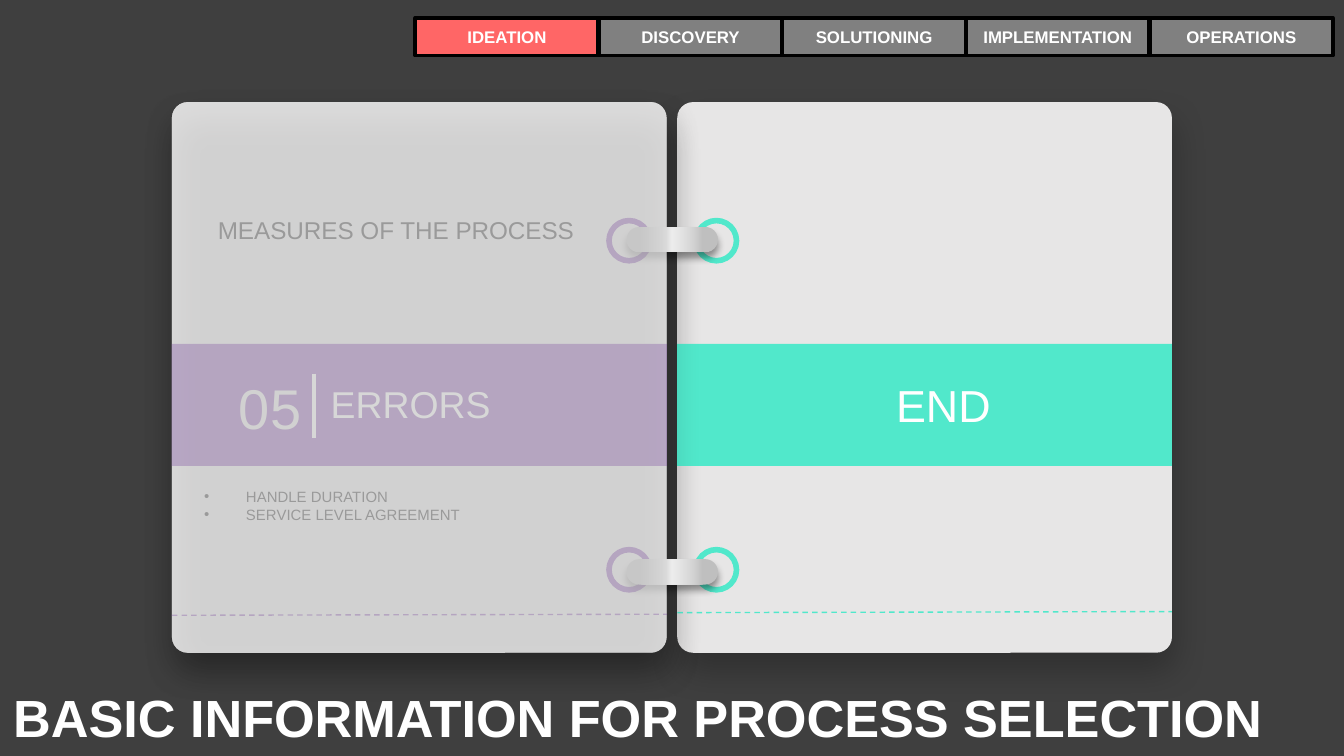
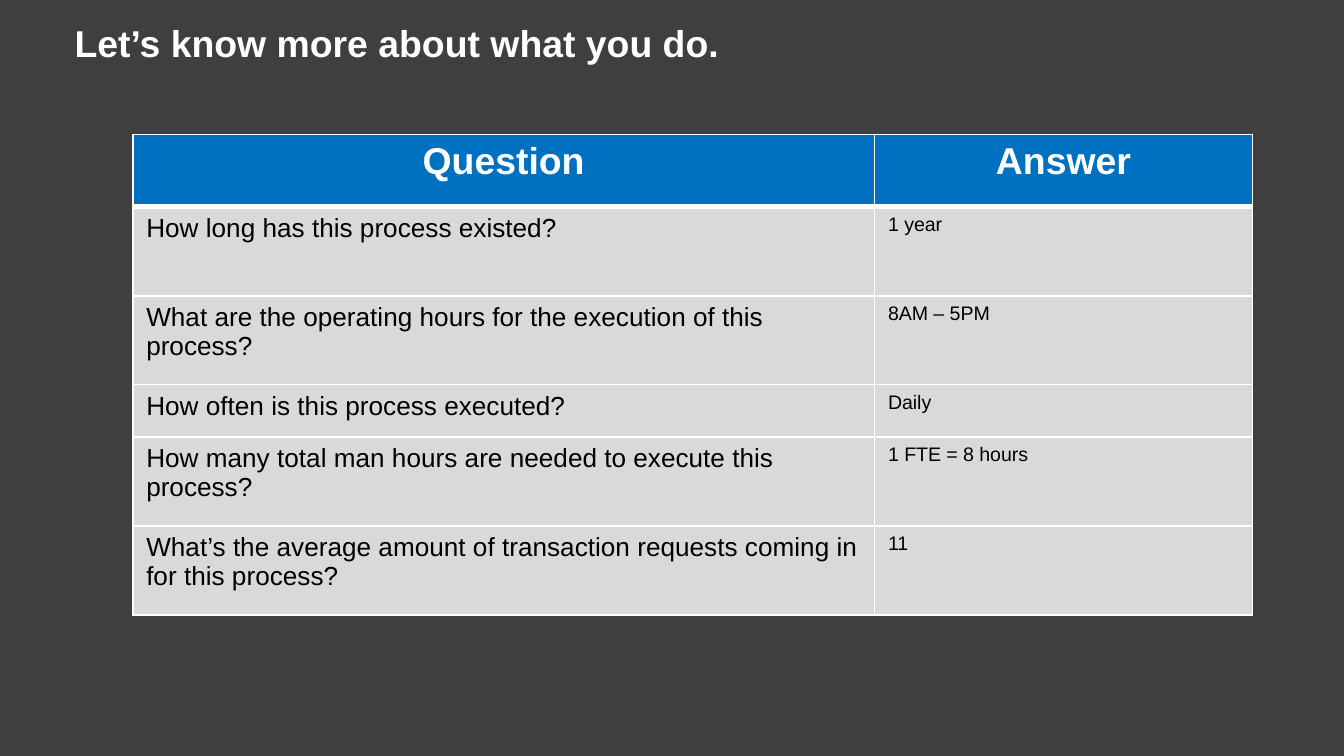
from pptx import Presentation
from pptx.dml.color import RGBColor
from pptx.enum.dml import MSO_LINE_DASH_STYLE as Dash
from pptx.enum.shapes import MSO_CONNECTOR as Link, MSO_SHAPE as Shape
from pptx.enum.text import MSO_ANCHOR as Anchor, PP_ALIGN as Align
from pptx.oxml.ns import qn
from pptx.util import Cm, Pt
from lxml.etree import SubElement

COLORS = {
    "back": "3F3F3F", "page": "E7E6E6", "cover": "D9D9D9", "metal": "BFBFBF",
    "purple": "7030A0", "teal": "51E8CB", "tab": "808080", "active": "FF6666",
    "header": "0070C0", "white": "FFFFFF", "black": "000000",
}
FONT = "Arial"
SMALL_INSETS = (0.18, 0.1, 0.18, 0.1)
TITLE_INSETS = (0.25, 0.25, 0.25, 0.25)
LEFT_PAGE, RIGHT_PAGE = 3.25, 12.8
PAGE_TOP, PAGE_W, PAGE_H = 1.93, 9.35, 10.41
BAND_TOP, BAND_H = 6.5, 2.31
RING_TOPS, RING_D = (4.17, 10.39), 0.76
CLIP_TOPS = (4.29, 10.57)
PAGE_SHADOW = (24, 19, 10, 80)
CLIP_SHADOW = (40, 4, 3, 90)
TABS = ["IDEATION", "DISCOVERY", "SOLUTIONING", "IMPLEMENTATION", "OPERATIONS"]
TAB_LEFT, TAB_STEP = 7.85, 3.47
QUESTIONS = [
    ("Question", "Answer"),
    ("How long has this process existed?", "1 year"),
    ("What are the operating hours for the execution of this process?", "8AM – 5PM"),
    ("How often is this process executed?", "Daily"),
    ("How many total man hours are needed to execute this process?", "1 FTE = 8 hours"),
    ("What’s the average amount of transaction requests coming in for this process?", "11"),
]
ROW_HEIGHTS = (1.37, 1.68, 1.68, 0.99, 1.68, 1.68)
COL_WIDTHS = (14.02, 7.14)


def rgb(name):
    return RGBColor.from_string(COLORS[name])


def element(parent, tag, **attrs):
    return SubElement(parent, qn(tag), {k: str(v) for k, v in attrs.items()})


def add_color(parent, name, alpha=None):
    clr = element(parent, "a:srgbClr", val=COLORS[name])
    if alpha is not None:
        element(clr, "a:alpha", val=alpha * 1000)


def add_shadow(sp, alpha, blur, dist, angle):
    effects = sp._element.spPr.find(qn("a:effectLst"))
    shadow = element(effects, "a:outerShdw", blurRad=Pt(blur), dist=Pt(dist),
                     dir=angle * 60000, algn="ctr", rotWithShape=0)
    add_color(shadow, "black", alpha)


def add_box(s, kind, at, fill, line=None, width=0, adj=None, shadow=None, alpha=None):
    sp = s.shapes.add_shape(kind, *map(Cm, at))
    sp.shadow.inherit = False
    sp.fill.solid()
    sp.fill.fore_color.rgb = rgb(fill)
    if alpha is not None:
        clr = sp._element.spPr.find(qn("a:solidFill"))[0]
        element(clr, "a:alpha", val=alpha * 1000)
    if line:
        sp.line.color.rgb = rgb(line)
        sp.line.width = Pt(width)
    else:
        sp.line.fill.background()
    if adj is not None:
        sp.adjustments[0] = adj
    if shadow:
        add_shadow(sp, *shadow)
    return sp


def add_line(s, ends, color, width, dash=None):
    c = s.shapes.add_connector(Link.STRAIGHT, *map(Cm, ends))
    element(c._element.spPr, "a:effectLst")
    c.line.color.rgb = rgb(color)
    c.line.width = Pt(width)
    if dash:
        c.line.dash_style = dash


def write(tf, lines, size, color="white", bold=False, align=Align.LEFT,
          indent=0, bullet=False):
    for i, line in enumerate(lines):
        p = tf.add_paragraph() if i else tf.paragraphs[0]
        p.alignment = align
        pPr = p._p.get_or_add_pPr()
        if indent:
            pPr.set("marL", str(Cm(indent)))
        if bullet:
            pPr.set("indent", str(-Cm(indent)))
            add_color(element(pPr, "a:buClr"), color)
            element(pPr, "a:buFont", typeface=FONT)
            element(pPr, "a:buChar", char="•")
        r = p.add_run()
        r.text = line
        for key, value in {"name": FONT, "size": Pt(size), "bold": bold}.items():
            setattr(r.font, key, value)
        r.font.color.rgb = rgb(color)


def set_frame(tf, insets, anchor):
    tf.word_wrap = True
    tf.vertical_anchor = anchor
    for side, inset in zip(("left", "top", "right", "bottom"), insets):
        setattr(tf, f"margin_{side}", Cm(inset))


def add_text(s, at, lines, size, insets=SMALL_INSETS, **style):
    tf = s.shapes.add_textbox(*map(Cm, at)).text_frame
    set_frame(tf, insets, Anchor.TOP)
    write(tf, lines, size, **style)


def add_page(s, left, fill="page", **style):
    add_box(s, Shape.ROUNDED_RECTANGLE, (left, PAGE_TOP, PAGE_W, PAGE_H), fill,
            adj=0.032, shadow=PAGE_SHADOW, **style)


def add_band(s, left, color, line_y):
    add_line(s, (left, line_y, left + PAGE_W, line_y - 0.02), color, 0.75, Dash.DASH)
    return add_box(s, Shape.RECTANGLE, (left, BAND_TOP, PAGE_W, BAND_H), color)


def add_rings(s, left, color):
    for top in RING_TOPS:
        add_box(s, Shape.OVAL, (left, top, RING_D, RING_D), "page", color, 3)


def add_clip(s, top):
    sp = add_box(s, Shape.ROUNDED_RECTANGLE, (11.84, top, 1.73, 0.48), "metal",
                 adj=0.5, shadow=CLIP_SHADOW)
    sp.fill.gradient()
    sp.fill.gradient_angle = 0
    stops = sp._element.spPr.find(qn("a:gradFill")).find(qn("a:gsLst"))
    stops.clear()
    for pos in (0, 16, 50, 84, 100):
        add_color(element(stops, "a:gs", pos=pos * 1000), "white" if pos == 50 else "metal")


def add_tabs(s, active):
    for i, name in enumerate(TABS):
        sp = add_box(s, Shape.RECTANGLE, (TAB_LEFT + i * TAB_STEP, 0.34, 3.46, 0.71),
                     "active" if name == active else "tab", "black", 2)
        set_frame(sp.text_frame, (0.25, 0.13, 0.25, 0.13), Anchor.MIDDLE)
        write(sp.text_frame, [name], 9, bold=True, align=Align.CENTER)


def set_borders(cell, bottom):
    tcPr = cell._tc.get_or_add_tcPr()
    for i, (side, width) in enumerate((("L", 1), ("R", 1), ("T", 1), ("B", bottom))):
        ln = element(tcPr, f"a:ln{side}", w=Pt(width))
        add_color(element(ln, "a:solidFill"), "white")
        tcPr.insert(i, ln)


def add_questions(s, left, top):
    tbl = s.shapes.add_table(len(QUESTIONS), len(COL_WIDTHS), Cm(left), Cm(top),
                             Cm(sum(COL_WIDTHS)), Cm(sum(ROW_HEIGHTS))).table
    tbl.horz_banding = False
    for col, width in zip(tbl.columns, COL_WIDTHS):
        col.width = Cm(width)
    for i, (row, texts) in enumerate(zip(tbl.rows, QUESTIONS)):
        row.height = Cm(ROW_HEIGHTS[i])
        for cell, text, size in zip(row.cells, texts, (14, 10.5)):
            cell.fill.solid()
            cell.fill.fore_color.rgb = rgb("cover" if i else "header")
            set_borders(cell, 3 if i == 0 else 1)
            if i:
                write(cell.text_frame, [text], size, "black")
            else:
                write(cell.text_frame, [text], 20, bold=True, align=Align.CENTER)
    if len(QUESTIONS) > 1:
        for cell in tbl.rows[1].cells:
            cell._tc.tcPr.find(qn("a:lnT")).set("w", str(Pt(3)))


def new_slide(prs):
    s = prs.slides.add_slide(prs.slide_layouts[6])
    s.background.fill.solid()
    s.background.fill.fore_color.rgb = rgb("back")
    return s


def build_notebook(prs):
    s = new_slide(prs)
    add_page(s, RIGHT_PAGE)
    add_rings(s, 13.16, "teal")
    add_page(s, LEFT_PAGE)
    add_band(s, LEFT_PAGE, "purple", 11.63)
    add_text(s, (4.29, 6.96, 1.63, 1.47), ["05"], 30, color="page", align=Align.CENTER)
    add_line(s, (5.94, 7.06, 5.94, 8.28), "white", 2.25)
    add_text(s, (6.07, 7.11, 5.64, 1.35), ["ERRORS"], 20)
    add_rings(s, 11.51, "purple")
    for top in CLIP_TOPS:
        add_clip(s, top)
    add_tabs(s, "IDEATION")
    add_text(s, (3.68, 3.96, 7.6, 1.93), ["MEASURES OF THE PROCESS"], 13,
             color="black", align=Align.CENTER)
    add_text(s, (3.68, 9.12, 7.6, 1.93), ["HANDLE DURATION", "SERVICE LEVEL AGREEMENT"], 8,
             color="black", indent=0.79, bullet=True)
    add_text(s, (0, 12.7, 25.4, 1.6), ["BASIC INFORMATION FOR PROCESS SELECTION"], 28,
             TITLE_INSETS, bold=True)
    tf = add_band(s, RIGHT_PAGE, "teal", 11.58).text_frame
    set_frame(tf, (0.89, 0.1, 0.18, 0.1), Anchor.MIDDLE)
    write(tf, ["END"], 24, align=Align.CENTER)
    add_page(s, LEFT_PAGE, "cover", alpha=71)


def build_questions(prs):
    s = new_slide(prs)
    add_text(s, (0.86, 0.13, 23.67, 1.47), ["Let’s know more about what you do."], 20,
             TITLE_INSETS, bold=True, indent=0.3)
    add_questions(s, 2.51, 2.54)


def main():
    prs = Presentation()
    prs.slide_width, prs.slide_height = Cm(25.4), Cm(14.29)
    build_notebook(prs)
    build_questions(prs)
    prs.save("out.pptx")


if __name__ == "__main__":
    main()
